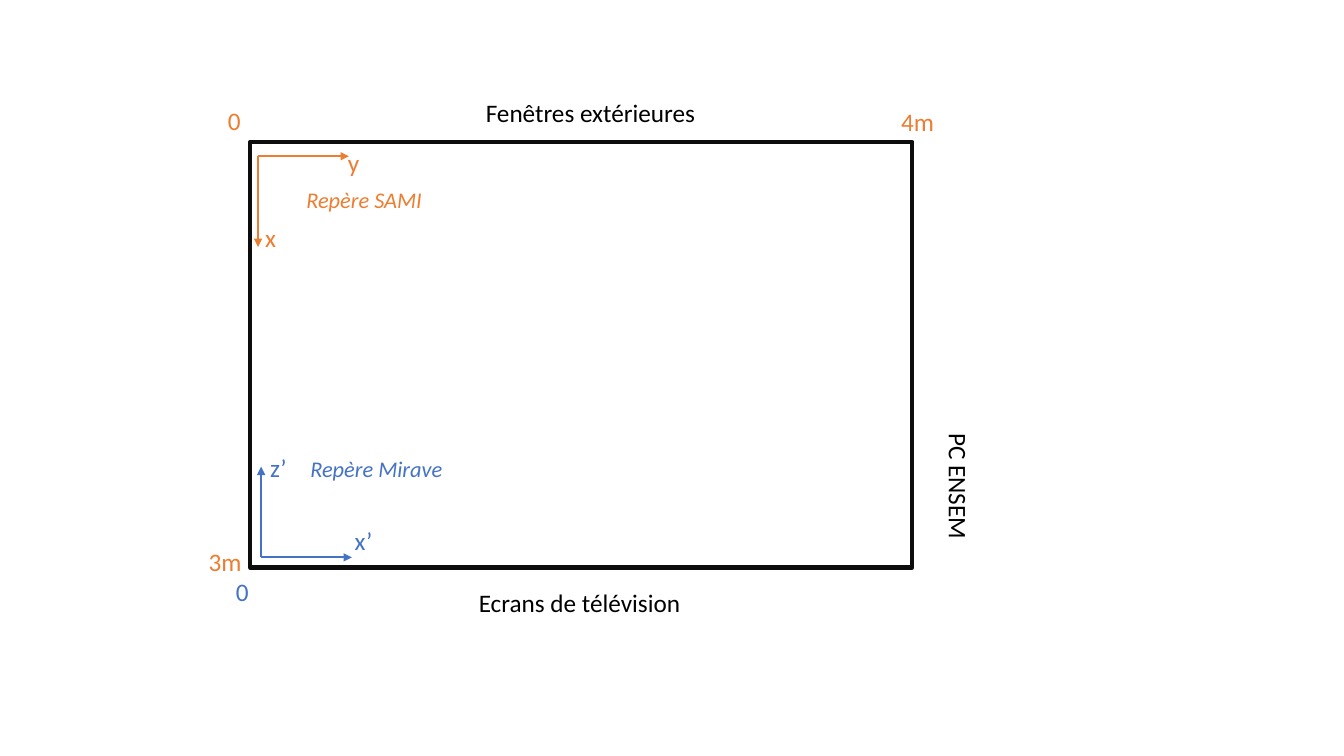
from lxml import etree
from pptx import Presentation
from pptx.dml.color import RGBColor
from pptx.enum.shapes import MSO_CONNECTOR, MSO_SHAPE
from pptx.enum.text import MSO_AUTO_SIZE
from pptx.oxml.ns import qn
from pptx.util import Inches, Pt

RECT = MSO_SHAPE.RECTANGLE
LINE = MSO_CONNECTOR.STRAIGHT
GROW = MSO_AUTO_SIZE.SHAPE_TO_FIT_TEXT

BLACK = RGBColor(0x00, 0x00, 0x00)
WALL = RGBColor(0x0D, 0x0D, 0x0D)
ORANGE = RGBColor(0xED, 0x7D, 0x31)
BLUE = RGBColor(0x44, 0x72, 0xC4)

SLIM = 0.05  # box width of a one-letter label


class Plan:
    font = "Calibri"

    def __init__(self, deck):
        self.slide = deck.slides.add_slide(deck.slide_layouts[6])
        self.shapes = self.slide.shapes

    def room(self, *box):
        room = self.shapes.add_shape(RECT, *map(Inches, box))
        room.shadow.inherit = False
        room.fill.background()
        room.line.color.rgb = WALL
        room.line.width = Pt(3)

    def label(self, text, x, y, w, h=0.4, color=BLACK, size=18,
              italic=False, wrap=True, turn=False):
        box = self.shapes.add_textbox(*map(Inches, (x, y, w, h)))
        frame = box.text_frame
        frame.word_wrap = wrap
        frame.auto_size = GROW
        if turn:
            frame._txBody.bodyPr.set("vert", "vert")
        run = frame.paragraphs[0].add_run()
        run.text = text
        style = {"name": self.font, "size": Pt(size), "italic": italic}
        for key, value in style.items():
            setattr(run.font, key, value)
        run.font.color.rgb = color

    def arrow(self, start, end, color):
        arrow = self.shapes.add_connector(LINE, *map(Inches, start + end))
        arrow.line.color.rgb = color
        arrow.line.width = Pt(1.5)
        etree.SubElement(arrow.line._get_or_add_ln(), qn("a:tailEnd"),
                         type="triangle")
        etree.SubElement(arrow._element.spPr, qn("a:effectLst"))

    def axes(self, x, y, rise, color):
        """Draw one arrow along the wall and one to the right."""
        self.arrow((x, y), (x, y + rise), color)
        self.arrow((x, y), (x + 0.9, y), color)


def main():
    deck = Presentation()
    deck.slide_width, deck.slide_height = Inches(13.33), Inches(7.5)
    plan = Plan(deck)

    plan.room(2.48, 1.41, 6.57, 4.22)
    plan.label("Fenêtres extérieures", 4.72, 0.92, 2.3, wrap=False)
    plan.label("PC ENSEM", 9.21, 4.2, 0.5, 1.16, wrap=False, turn=True)
    plan.label("Ecrans de télévision", 4.65, 5.78, 2.22, wrap=False)

    plan.axes(2.56, 1.55, 0.9, ORANGE)
    plan.axes(2.59, 5.53, -0.9, BLUE)

    marks = [
        ("y", 3.45, 1.41, SLIM, ORANGE),
        ("x", 2.63, 2.16, SLIM, ORANGE),
        ("0", 2.26, 1, SLIM, ORANGE),
        ("3m", 1.97, 5.37, 0.57, ORANGE),
        ("4m", 8.84, 1.01, 0.57, ORANGE),
        ("x’", 3.42, 5.16, 0.57, BLUE),
        ("z’", 2.58, 4.44, 0.58, BLUE),
        ("0", 2.34, 5.67, SLIM, BLUE),
    ]
    for text, x, y, w, color in marks:
        plan.label(text, x, y, w, color=color)

    frames = [
        ("Repère SAMI", 2.94, 1.8, 1.36, ORANGE),
        ("Repère Mirave", 2.98, 4.47, 1.53, BLUE),
    ]
    for text, x, y, w, color in frames:
        plan.label(text, x, y, w, 0.37, color, 16, italic=True, wrap=False)

    deck.save("out.pptx")


if __name__ == "__main__":
    main()
